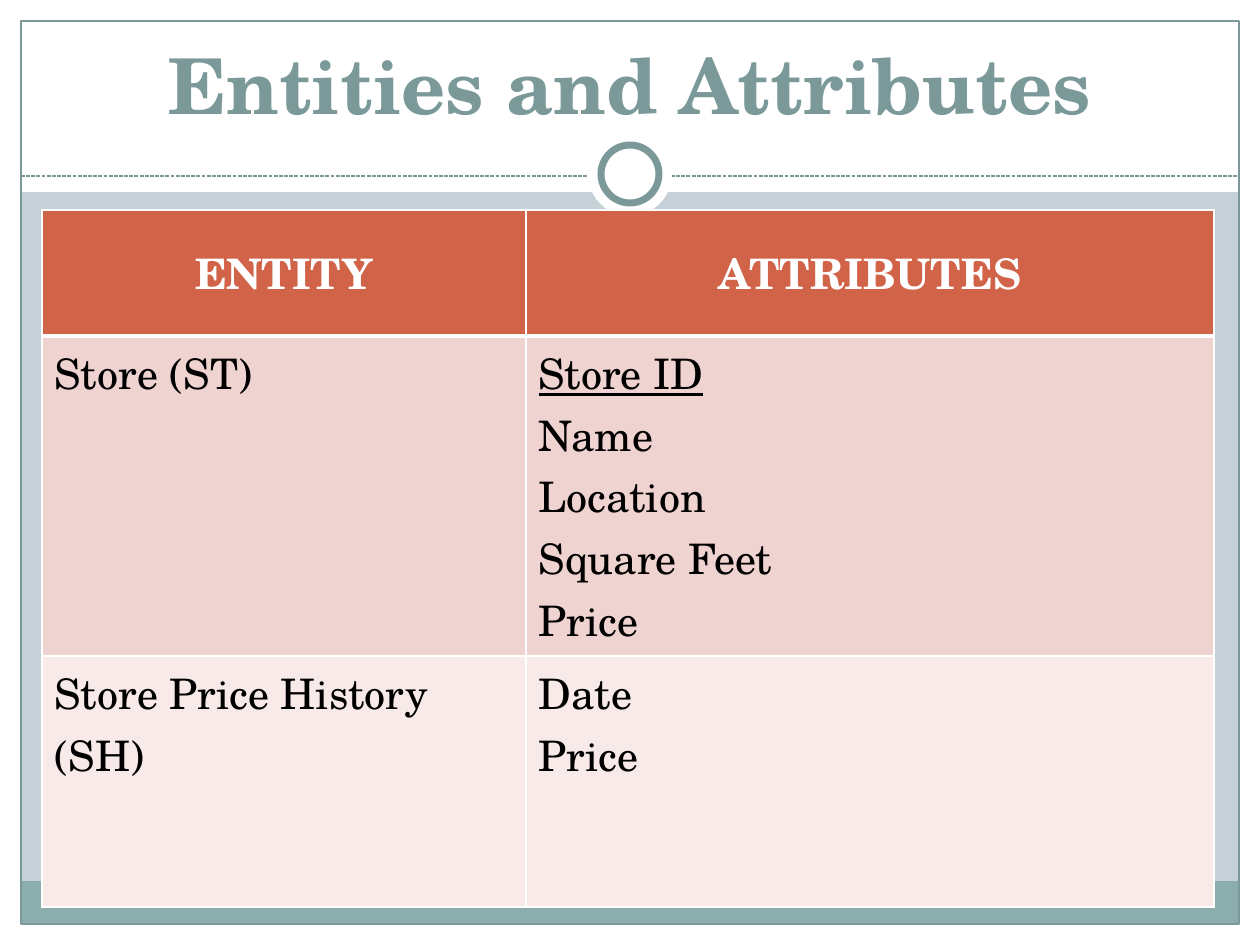
from dataclasses import dataclass

from lxml.etree import SubElement
from pptx import Presentation
from pptx.dml.color import RGBColor
from pptx.enum.dml import MSO_LINE
from pptx.enum.shapes import MSO_CONNECTOR, MSO_SHAPE
from pptx.enum.text import MSO_ANCHOR, PP_ALIGN
from pptx.oxml.ns import qn
from pptx.util import Pt

# Content
TITLE = "Entities and Attributes"
HEADERS = ["ENTITY", "ATTRIBUTES"]
ENTITIES = [
    ("Store (ST)", ["Store ID", "Name", "Location", "Square Feet", "Price"]),
    ("Store Price History (SH)", ["Date", "Price"]),
]
KEYS = {"Store ID"}


@dataclass(frozen=True)
class Theme:
    font: str = "TeX Gyre Schola"
    title_size: int = 44
    table_size: int = 24
    background: str = "C5D1D7"
    white: str = "FFFFFF"
    black: str = "000000"
    accent: str = "7C999A"
    footer: str = "8CADAE"
    header: str = "D16349"
    bands: tuple = ("EED3D0", "F7EAE9")


THEME = Theme()

# Layout in px
WIDTH, HEIGHT = 1260, 945
MARGIN = 21
HEAD_HEIGHT = 192
FOOTER_HEIGHT = 43
DIVIDER_Y = 176
RING_CENTER = (WIDTH // 2, 174)
TITLE_BOX = (42, 31, 1176, 105)
TABLE_ORIGIN = (42, 210)
COLUMNS = [484, 688]
ROWS = [126, 320, 251]


def px(length):
    return round(length * 914400 / 126)


def color(value):
    return RGBColor.from_string(value)


def add_shape(page, kind, box, fill=None, line=None, line_width=0.75):
    shape = page.shapes.add_shape(kind, *map(px, box))
    shape.shadow.inherit = False
    if fill:
        shape.fill.solid()
        shape.fill.fore_color.rgb = color(fill)
    else:
        shape.fill.background()
    if line:
        shape.line.color.rgb = color(line)
        shape.line.width = Pt(line_width)
    else:
        shape.line.fill.background()


def add_circle(page, diameter, **style):
    left, top = (center - diameter // 2 for center in RING_CENTER)
    add_shape(page, MSO_SHAPE.OVAL, (left, top, diameter, diameter), **style)


def style_paragraph(para, size, ink, bold=False, align=PP_ALIGN.LEFT):
    para.alignment = align
    font = para.font
    font.name, font.size, font.bold = THEME.font, Pt(size), bold
    font.color.rgb = color(ink)


def set_borders(cell, widths):
    properties = cell._tc.get_or_add_tcPr()
    for index, (side, width) in enumerate(widths.items()):
        line = SubElement(properties, qn(f"a:ln{side}"), w=str(Pt(width)))
        fill = SubElement(line, qn("a:solidFill"))
        SubElement(fill, qn("a:srgbClr"), val=THEME.white)
        properties.insert(index, line)


def fill_cell(cell, lines, row):
    is_header = row == 0
    cell.fill.solid()
    cell.fill.fore_color.rgb = color(THEME.header if is_header else THEME.bands[row - 1])
    cell.vertical_anchor = MSO_ANCHOR.MIDDLE if is_header else MSO_ANCHOR.TOP
    set_borders(cell, {"L": 1, "R": 1, "T": 3 if row == 1 else 1, "B": 3 if is_header else 1})
    cell.text_frame.text = "\n".join(lines)
    for para, text in zip(cell.text_frame.paragraphs, lines):
        if is_header:
            style_paragraph(para, THEME.table_size, THEME.white, True, PP_ALIGN.CENTER)
        else:
            style_paragraph(para, THEME.table_size, THEME.black)
        if text in KEYS:
            para.runs[0].font.underline = True


def add_frame(page):
    bottom = HEIGHT - MARGIN
    inner_width = WIDTH - 2 * MARGIN
    # White margins, title band and footer strip
    for box in [
        (0, bottom, WIDTH, MARGIN),
        (0, 0, WIDTH, HEAD_HEIGHT),
        (0, 0, MARGIN, HEIGHT),
        (WIDTH - MARGIN, 0, MARGIN, HEIGHT),
    ]:
        add_shape(page, MSO_SHAPE.RECTANGLE, box, fill=THEME.white)
    add_shape(page, MSO_SHAPE.RECTANGLE,
              (MARGIN, bottom - FOOTER_HEIGHT, inner_width, FOOTER_HEIGHT), fill=THEME.footer)
    add_shape(page, MSO_SHAPE.RECTANGLE,
              (MARGIN, MARGIN, inner_width, HEIGHT - 2 * MARGIN), line=THEME.accent)

    # Dashed divider with ring
    divider = page.shapes.add_connector(
        MSO_CONNECTOR.STRAIGHT, px(MARGIN), px(DIVIDER_Y), px(WIDTH - MARGIN), px(DIVIDER_Y))
    divider.line.color.rgb = color(THEME.accent)
    divider.line.width = Pt(0.75)
    divider.line.dash_style = MSO_LINE.SQUARE_DOT
    SubElement(divider._element.spPr, qn("a:effectLst"))
    add_circle(page, 84, fill=THEME.white)
    add_circle(page, 58, fill=THEME.white, line=THEME.accent, line_width=4)


def add_title(page):
    frame = page.shapes.add_textbox(*map(px, TITLE_BOX)).text_frame
    frame.word_wrap = True
    frame.vertical_anchor = MSO_ANCHOR.MIDDLE
    frame.text = TITLE
    style_paragraph(frame.paragraphs[0], THEME.title_size, THEME.accent, True, PP_ALIGN.CENTER)


def add_entity_table(page):
    table = page.shapes.add_table(
        len(ROWS), len(COLUMNS), *map(px, (*TABLE_ORIGIN, sum(COLUMNS), sum(ROWS)))).table
    for column, width in zip(table.columns, COLUMNS):
        column.width = px(width)
    for row, height in zip(table.rows, ROWS):
        row.height = px(height)
    content = [[[header] for header in HEADERS]]
    content += [[[entity], attributes] for entity, attributes in ENTITIES]
    for row, cells in enumerate(content):
        for column, lines in enumerate(cells):
            fill_cell(table.cell(row, column), lines, row)


def main():
    deck = Presentation()
    deck.slide_width, deck.slide_height = px(WIDTH), px(HEIGHT)
    page = deck.slides.add_slide(deck.slide_layouts[6])
    page.background.fill.solid()
    page.background.fill.fore_color.rgb = color(THEME.background)
    add_frame(page)
    add_title(page)
    add_entity_table(page)
    deck.save("out.pptx")


if __name__ == "__main__":
    main()
